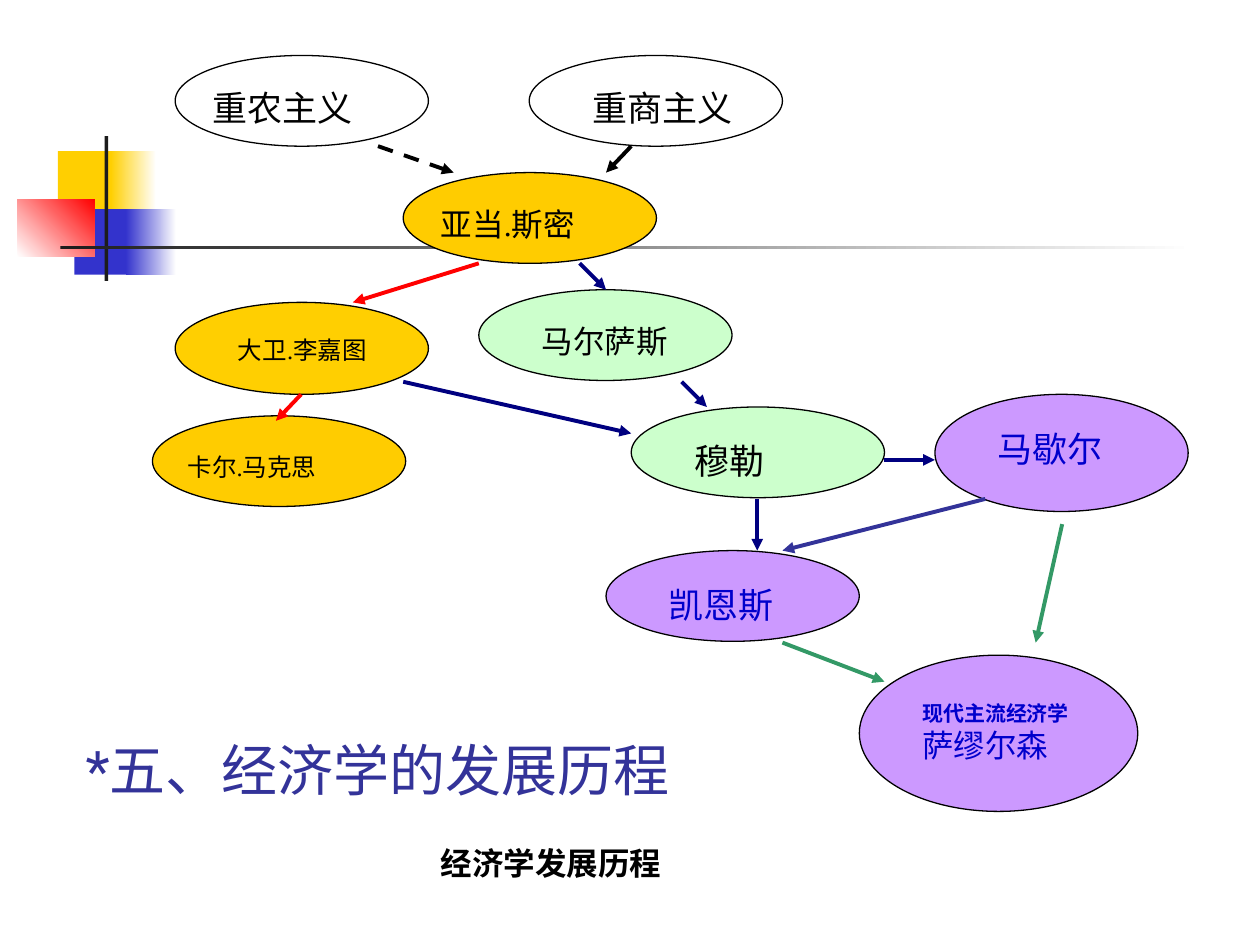
from lxml import etree
from pptx import Presentation
from pptx.dml.color import RGBColor
from pptx.enum.dml import MSO_LINE
from pptx.enum.shapes import MSO_CONNECTOR, MSO_SHAPE
from pptx.enum.text import MSO_ANCHOR, PP_ALIGN
from pptx.oxml.ns import qn
from pptx.util import Inches, Pt

RECTANGLE, OVAL = MSO_SHAPE.RECTANGLE, MSO_SHAPE.OVAL
STRAIGHT = MSO_CONNECTOR.STRAIGHT
DASH = MSO_LINE.DASH
TOP, BOTTOM = MSO_ANCHOR.TOP, MSO_ANCHOR.BOTTOM
LEFT, JUSTIFY = PP_ALIGN.LEFT, PP_ALIGN.JUSTIFY

WHITE = RGBColor(0xFF, 0xFF, 0xFF)
BLACK = RGBColor(0x00, 0x00, 0x00)
CHARCOAL = RGBColor(0x1C, 0x1C, 0x1C)
GOLD = RGBColor(0xFF, 0xCF, 0x01)
AMBER = RGBColor(0xFF, 0xCC, 0x00)
RED = RGBColor(0xFF, 0x00, 0x00)
BLUE = RGBColor(0x33, 0x33, 0xCC)
INDIGO = RGBColor(0x33, 0x33, 0x99)
NAVY = RGBColor(0x00, 0x00, 0x80)
GREEN = RGBColor(0x33, 0x99, 0x66)
MINT = RGBColor(0xCC, 0xFF, 0xCC)
LILAC = RGBColor(0xCC, 0x99, 0xFF)
TEXT_BLUE = RGBColor(0x00, 0x00, 0xCC)

SERIF = "Times New Roman"

DECORATIONS = [
    ((0.46, 1.2, 0.48, 0.52), (GOLD,), 0),
    ((0.88, 1.2, 0.36, 0.52), (GOLD, WHITE), 0),
    ((0.59, 1.66, 0.46, 0.52), (BLUE,), 0),
    ((1, 1.66, 0.4, 0.52), (BLUE, WHITE), 0),
    ((0.14, 1.58, 0.61, 0.46), (WHITE, RED), 45),
    ((0.83, 1.08, 0.03, 1.15), (CHARCOAL,), 0),
    ((0.48, 1.95, 9, 0.03), (CHARCOAL, WHITE), 0),
]

SCHOOLS = [
    ((1.39, 0.44, 2.01, 0.72), WHITE, (1.59, 0.64, 1.41, 0.31), BLACK, [("重农主义", 20, False)]),
    ((4.2, 0.44, 2.01, 0.72), WHITE, (4.6, 0.64, 1.41, 0.31), BLACK, [("重商主义", 20, False)]),
    ((3.2, 1.37, 2.01, 0.72), AMBER, (3.4, 1.58, 1.41, 0.31), BLACK, [("亚当.斯密", 18, False)]),
    ((1.39, 2.4, 2.01, 0.73), GOLD, (1.79, 2.61, 1.41, 0.31), BLACK, [("大卫.李嘉图", 14, False)]),
    ((1.21, 3.3, 2.01, 0.72), AMBER, (1.39, 3.54, 1.61, 0.31), BLACK, [("卡尔.马克思", 14, False)]),
    ((3.8, 2.3, 2.01, 0.72), MINT, (4.2, 2.51, 1.41, 0.31), BLACK, [("马尔萨斯", 18, False)]),
    ((5.01, 3.23, 2.01, 0.72), MINT, (5.41, 3.44, 1.21, 0.31), BLACK, [("穆勒", 20, False)]),
    ((7.42, 3.13, 2.01, 0.93), LILAC, (7.82, 3.34, 1.41, 0.52), TEXT_BLUE, [("马歇尔", 20, False)]),
    ((4.81, 4.37, 2.01, 0.72), LILAC, (5.21, 4.58, 1.2, 0.31), TEXT_BLUE, [("凯恩斯", 20, False)]),
    ((6.82, 5.2, 2.21, 1.24), LILAC, (7.22, 5.51, 1.41, 0.72), TEXT_BLUE,
     [("现代主流经济学", 12, True), ("萨缪尔森", 18, False)]),
]

INFLUENCES = [
    ((3, 1.16), (3.6, 1.37), BLACK, DASH),
    ((5.01, 1.16), (4.81, 1.37), BLACK, None),
    ((3.8, 2.09), (2.8, 2.4), RED, None),
    ((4.6, 2.09), (4.81, 2.3), NAVY, None),
    ((5.41, 3.03), (5.61, 3.23), NAVY, None),
    ((7.02, 3.65), (7.42, 3.65), NAVY, None),
    ((6.01, 3.96), (6.01, 4.37), NAVY, None),
    ((7.82, 3.96), (6.21, 4.37), INDIGO, None),
    ((8.43, 4.16), (8.22, 5.1), GREEN, None),
    ((6.21, 5.1), (7.02, 5.41), GREEN, None),
    ((2.39, 3.13), (2.19, 3.34), RED, None),
    ((3.2, 3.03), (5.01, 3.44), NAVY, None),
]


def set_format(target, values):
    for name, value in values.items():
        setattr(target, name, value)


def add_run(paragraph, text, size, color, font_name, bold=False):
    run = paragraph.add_run()
    run.text = text
    set_format(run.font, {"name": font_name, "size": Pt(size), "bold": bold})
    run.font.color.rgb = color


def add_plain_shape(slide, kind, box, colors, angle=0):
    shape = slide.shapes.add_shape(kind, *map(Inches, box))
    shape.shadow.inherit = False
    shape.line.fill.background()
    if len(colors) == 1:
        shape.fill.solid()
        shape.fill.fore_color.rgb = colors[0]
    else:
        shape.fill.gradient()
        shape.fill.gradient_angle = angle
        for stop, color in zip(shape.fill.gradient_stops, colors):
            stop.color.rgb = color
    return shape


def add_label(slide, box, fill, color, lines):
    shape = add_plain_shape(slide, RECTANGLE, box, (fill,))
    frame = shape.text_frame
    set_format(frame, {"word_wrap": True, "vertical_anchor": TOP})
    for index, (text, size, bold) in enumerate(lines):
        paragraph = frame.add_paragraph() if index else frame.paragraphs[0]
        paragraph.alignment = JUSTIFY
        add_run(paragraph, text, size, color, SERIF, bold)


def add_school(slide, box, fill, label_box, color, lines):
    oval = add_plain_shape(slide, OVAL, box, (fill,))
    oval.line.color.rgb = BLACK
    oval.line.width = Pt(0.75)
    add_label(slide, label_box, fill, color, lines)


def add_arrow(slide, start, end, color, dash):
    connector = slide.shapes.add_connector(STRAIGHT, *map(Inches, start + end))
    connector.line.color.rgb = color
    set_format(connector.line, {"width": Pt(2.25), "dash_style": dash})
    line = connector.line._get_or_add_ln()
    etree.SubElement(line, qn("a:tailEnd"), type="triangle")
    etree.SubElement(connector._element.spPr, qn("a:effectLst"))


def add_title(slide, box):
    title = slide.shapes.title
    set_format(title, dict(zip(("left", "top", "width", "height"), map(Inches, box))))
    set_format(title.text_frame, {"word_wrap": True, "vertical_anchor": BOTTOM})
    paragraph = title.text_frame.paragraphs[0]
    paragraph.alignment = LEFT
    add_run(paragraph, "*", 32, INDIGO, "Roboto")
    add_run(paragraph, "五、经济学的发展历程", 32, INDIGO, "Arial")


def main():
    presentation = Presentation()
    presentation.slide_width = Inches(10)
    presentation.slide_height = Inches(7.5)
    slide = presentation.slides.add_slide(presentation.slide_layouts[5])
    for box, colors, angle in DECORATIONS:
        add_plain_shape(slide, RECTANGLE, box, colors, angle)
    add_title(slide, (0.58, 5.67, 5.67, 0.75))
    for school in SCHOOLS:
        add_school(slide, *school)
    for influence in INFLUENCES:
        add_arrow(slide, *influence)
    add_label(slide, (3.4, 6.65, 2.21, 0.31), WHITE, BLACK, [("经济学发展历程", 18, True)])
    presentation.save("out.pptx")


if __name__ == "__main__":
    main()
